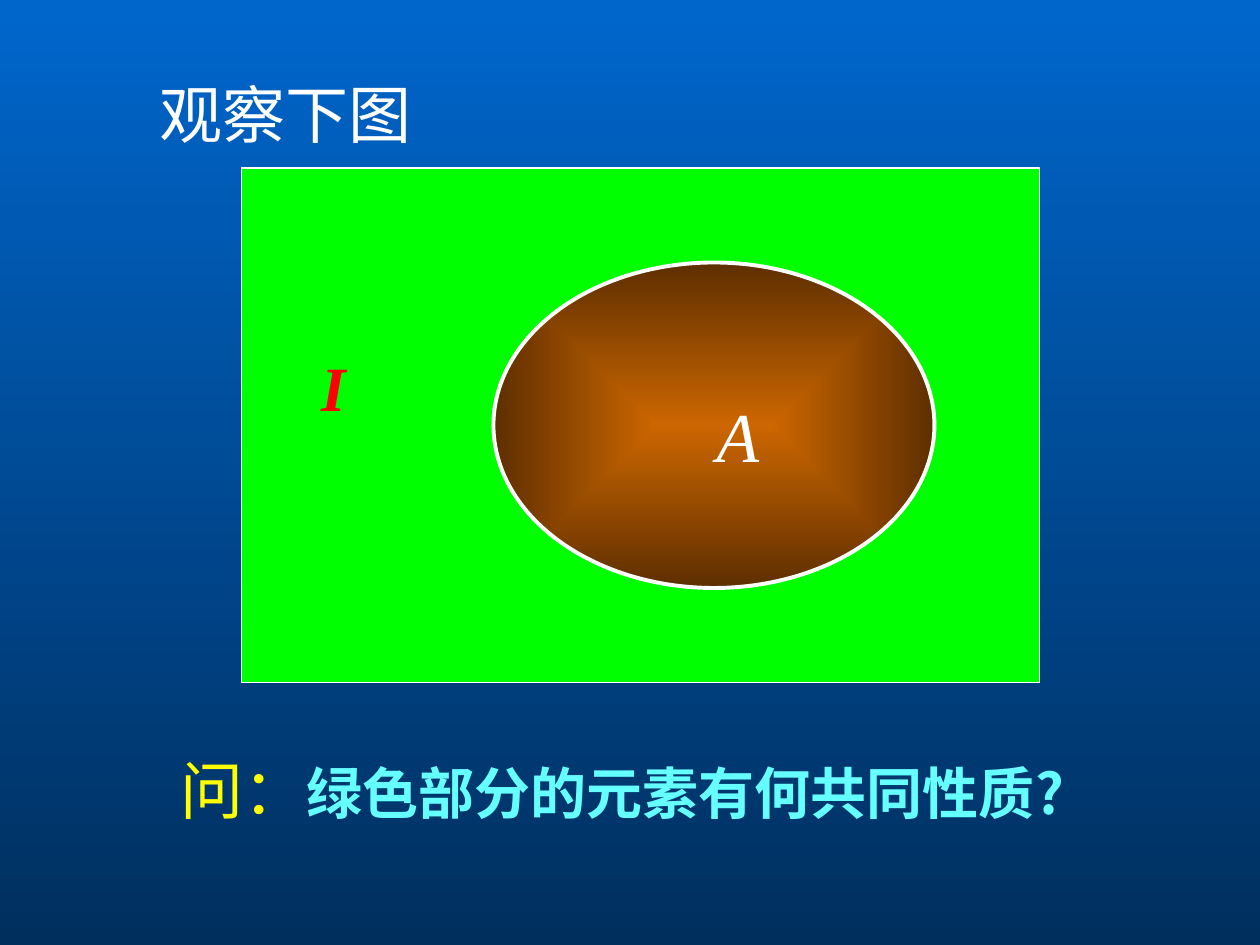
import pptx
import pptx.util
import pptx.dml.color
import pptx.enum.shapes
import pptx.oxml
import pptx.oxml.ns

RGB = pptx.dml.color.RGBColor
WHITE = RGB(0xFF, 0xFF, 0xFF)
GREEN = RGB(0x00, 0xFF, 0x00)
RED = RGB(0xFF, 0x00, 0x00)
YELLOW = RGB(0xFF, 0xFF, 0x00)
CYAN = RGB(0x66, 0xFF, 0xFF)
SKY = RGB(0x00, 0x66, 0xCC)
NAVY = RGB(0x00, 0x2F, 0x5E)
ORANGE = RGB(0xCC, 0x66, 0x00)
BROWN = RGB(0x5E, 0x2F, 0x00)
LATIN, CJK = "Times New Roman", "Noto Sans CJK SC"
SHAPE = pptx.enum.shapes.MSO_SHAPE

prs = pptx.Presentation()
prs.slide_width = pptx.util.Inches(10)
prs.slide_height = pptx.util.Inches(7.5)
UNIT = prs.slide_width / 120
s = prs.slides.add_slide(prs.slide_layouts[6])


def place(x, y, w, h):
    return [round(v * UNIT) for v in (x, y, w, h)]


bg = s.background.fill
bg.gradient()
bg.gradient_angle = 270
for stop, color, pos in zip(bg.gradient_stops, (SKY, NAVY), (0, 1)):
    stop.color.rgb = color
    stop.position = pos

for kind, box, weight in [
    (SHAPE.RECTANGLE, (23, 16, 76, 49), 1),
    (SHAPE.OVAL, (47, 25, 42, 31), 2.25),
]:
    sp = s.shapes.add_shape(kind, *place(*box))
    sp.shadow.inherit = False
    sp.line.color.rgb = WHITE
    sp.line.width = pptx.util.Pt(weight)
    sp.fill.solid()
    sp.fill.fore_color.rgb = GREEN

grad = pptx.oxml.parse_xml(
    f'<a:gradFill {pptx.oxml.ns.nsdecls("a")} rotWithShape="1"><a:gsLst>'
    f'<a:gs pos="0"><a:srgbClr val="{ORANGE}"/></a:gs>'
    f'<a:gs pos="100000"><a:srgbClr val="{BROWN}"/></a:gs></a:gsLst>'
    '<a:path path="rect"><a:fillToRect l="50000" t="50000" r="50000" b="50000"/></a:path>'
    '</a:gradFill>'
)
spPr = sp._element.spPr
spPr.replace(spPr.find(pptx.oxml.ns.qn("a:solidFill")), grad)

texts = [
    ((14, 6.6, 29, 8.4), 0.1,
     [("观察下图", WHITE, dict(size=36, name=LATIN))]),
    ((29.4, 32.6, 8.6, 8.4), 0.1,
     [("I", RED, dict(size=36, name=LATIN, bold=True, italic=True))]),
    ((16, 71, 87, 14.9), 0.1,
     [("问：", YELLOW, dict(size=36, name=LATIN)),
      ("绿色部分的元素有何共同性质?", CYAN, dict(size=32, name=CJK, bold=True))]),
    ((62, 36.8, 19, 9.2), 0.52,
     [("A", WHITE, dict(size=40, name=LATIN, italic=True))]),
]
for box, margin, runs in texts:
    tf = s.shapes.add_textbox(*place(*box)).text_frame
    tf.word_wrap = True
    tf.margin_left = pptx.util.Inches(margin)
    p = tf.paragraphs[0]
    for text, color, fmt in runs:
        r = p.add_run()
        r.text = text
        r.font.color.rgb = color
        for key, value in fmt.items():
            setattr(r.font, key, pptx.util.Pt(value) if key == "size" else value)
        ea = pptx.oxml.parse_xml(
            f'<a:ea {pptx.oxml.ns.nsdecls("a")} typeface="{CJK}"/>')
        r.font._element.find(pptx.oxml.ns.qn("a:latin")).addnext(ea)

prs.save("out.pptx")
